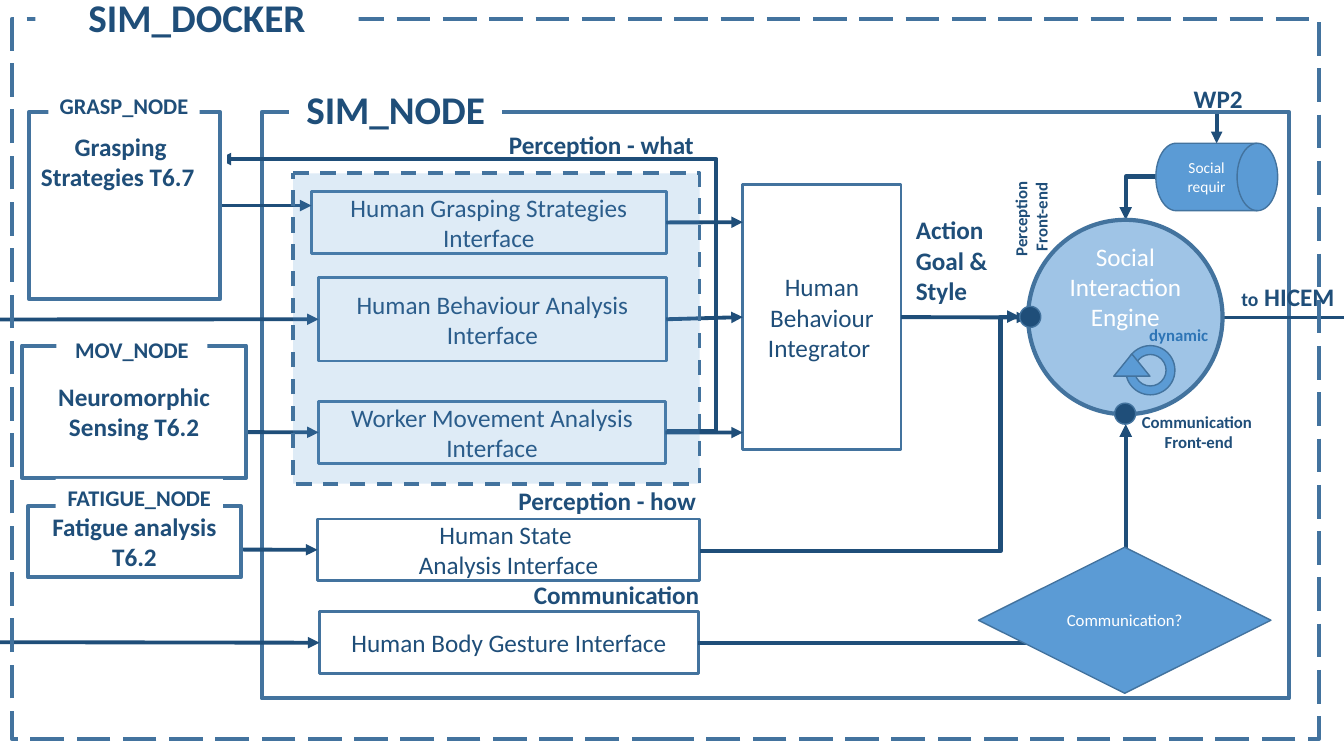
from dataclasses import dataclass

from lxml import etree
from pptx import Presentation
from pptx import util as u
from pptx.dml.color import RGBColor
from pptx.enum import dml, shapes, text
from pptx.oxml.ns import qn

Kind = shapes.MSO_SHAPE
Align = text.PP_ALIGN
Anchor = text.MSO_ANCHOR
Dash = dml.MSO_LINE
TOP, LEFT, BOTTOM, RIGHT = range(4)


@dataclass(frozen=True)
class Type:
    size: float
    color: str
    bold: bool = False


@dataclass(frozen=True)
class Theme:
    font: str = "Calibri"
    ink: str = "1F4E79"
    border: str = "43739E"
    accent: str = "5B9BD5"
    paper: str = "FFFFFF"
    title: Type = Type(28, "1F4E79", True)
    strong: Type = Type(18, "1F4E79", True)
    tag: Type = Type(16, "1F4E79", True)
    small: Type = Type(14, "1F4E79", True)
    note: Type = Type(12, "1F4E79", True)
    hint: Type = Type(12, "2E75B6", True)
    body: Type = Type(18, "1F4E79")
    engine: Type = Type(18, "FFFFFF")
    decision: Type = Type(12, "FFFFFF")
    store: Type = Type(11, "FFFFFF")


THEME = Theme()


@dataclass(frozen=True)
class Block:
    at: tuple[float, float, float, float]
    words: str = ""
    type: Type = THEME.body
    kind: Kind | None = Kind.RECTANGLE
    fill: str | None = None
    opacity: int = 100
    border: float = 0
    dash: Dash | None = None
    align: Align = Align.CENTER
    anchor: Anchor = Anchor.TOP
    wrap: bool = True
    turn: int = 0
    adjust: float | None = None
    inset_top: float = 0.13
    inset_bottom: float = 0.13


@dataclass(frozen=True)
class Joint:
    block: object
    side: int


@dataclass(frozen=True)
class Link:
    start: tuple[float, float] | Joint
    end: tuple[float, float] | Joint
    width: float = 2.75
    bend: str | None = None
    adjust: float | None = None


def add_run(paragraph, words: str, style: Type) -> None:
    run = paragraph.add_run()
    run.text = words
    run.font.name = THEME.font
    run.font.size = u.Pt(style.size)
    run.font.bold = style.bold
    run.font.color.rgb = RGBColor.from_string(style.color)


def dress(shape, block: Block) -> None:
    if block.fill:
        shape.fill.solid()
        shape.fill.fore_color.rgb = RGBColor.from_string(block.fill)
        if block.opacity < 100:
            color = shape.element.spPr.find(f"{qn('a:solidFill')}/{qn('a:srgbClr')}")
            etree.SubElement(color, qn("a:alpha")).set("val", str(block.opacity * 1000))
    else:
        shape.fill.background()
    if block.border:
        shape.line.color.rgb = RGBColor.from_string(THEME.border)
        shape.line.width = u.Pt(block.border)
        if block.dash:
            shape.line.dash_style = block.dash
    else:
        shape.line.fill.background()
    shape.rotation = block.turn
    if not block.words:
        return
    frame = shape.text_frame
    frame.word_wrap = block.wrap
    frame.auto_size = text.MSO_AUTO_SIZE.NONE
    frame.vertical_anchor = block.anchor
    frame.margin_top, frame.margin_bottom = u.Cm(block.inset_top), u.Cm(block.inset_bottom)
    for index, line in enumerate(block.words.split("\n")):
        paragraph = frame.add_paragraph() if index else frame.paragraphs[0]
        paragraph.alignment = block.align
        add_run(paragraph, line, block.type)


def add_block(slide, block: Block):
    box = [u.Cm(length) for length in block.at]
    if block.kind is None:
        shape = slide.shapes.add_textbox(*box)
    else:
        shape = slide.shapes.add_shape(block.kind, *box)
        shape.shadow.inherit = False
    if block.adjust is not None:
        shape.adjustments[0] = block.adjust
    dress(shape, block)
    return shape


def add_link(slide, link: Link) -> None:
    ends = [(0, 0) if isinstance(end, Joint) else end for end in (link.start, link.end)]
    kind = shapes.MSO_CONNECTOR.ELBOW if link.bend else shapes.MSO_CONNECTOR.STRAIGHT
    line = slide.shapes.add_connector(kind, *(u.Cm(n) for end in ends for n in end))
    if isinstance(link.start, Joint):
        line.begin_connect(link.start.block, link.start.side)
    if isinstance(link.end, Joint):
        line.end_connect(link.end.block, link.end.side)
    line.line.color.rgb = RGBColor.from_string(THEME.ink)
    line.line.width = u.Pt(link.width)
    properties = line.element.spPr
    etree.SubElement(properties.find(qn("a:ln")), qn("a:tailEnd")).set("type", "triangle")
    etree.SubElement(properties, qn("a:effectLst"))
    if link.bend:
        geometry = properties.find(qn("a:prstGeom"))
        geometry.set("prst", link.bend)
        if link.adjust is not None:
            guide = etree.SubElement(geometry.find(qn("a:avLst")), qn("a:gd"))
            guide.set("name", "adj1")
            guide.set("fmla", f"val {round(link.adjust * 100000)}")


def interface(*at: float, words: str) -> Block:
    return Block(at, words, border=2, anchor=Anchor.MIDDLE)


def tag(*at: float, words: str, style: Type = THEME.tag) -> Block:
    return Block(at, words, style, fill=THEME.paper)


def caption(*at: float, words: str, style: Type = THEME.strong, **options) -> Block:
    return Block(at, words, style, kind=None, **options)


def solid(kind: Kind, *at: float, fill: str = THEME.accent, **options) -> Block:
    return Block(at, kind=kind, fill=fill, border=1, anchor=Anchor.MIDDLE, **options)


def main() -> None:
    deck = Presentation()
    deck.slide_width, deck.slide_height = u.Cm(33.87), u.Cm(19.05)
    slide = deck.slides.add_slide(deck.slide_layouts[5])

    add_block(slide, Block((6.6, 2.82, 25.88, 14.78), border=3))
    add_block(slide, tag(7.29, 2.03, 5.36, 1.45, words="SIM_NODE", style=THEME.title))

    behaviour, movement, state, gesture, grasping, integrator = (add_block(slide, block) for block in (
        interface(8.03, 6.99, 8.76, 2.11, words="Human Behaviour Analysis\nInterface"),
        interface(8.03, 10.11, 8.74, 1.57, words="Worker Movement Analysis Interface"),
        interface(8, 13.08, 9.63, 1.55, words="Human State \nAnalysis Interface"),
        interface(8.05, 15.42, 9.55, 1.55, words="Human Body Gesture Interface"),
        interface(7.85, 4.83, 8.94, 1.55, words="Human Grasping Strategies Interface"),
        interface(18.72, 4.65, 3.99, 6.68, words="Human Behaviour\nIntegrator "),
    ))
    for link in (
        Link((-0.15, 8.05), Joint(behaviour, LEFT)),
        Link((0.66, 10.87), Joint(movement, LEFT)),
        Link((3.76, 13.84), Joint(state, LEFT)),
        Link((-1.17, 16.18), Joint(gesture, LEFT)),
        Link((5.54, 5.18), (7.85, 5.18)),
        Link(Joint(grasping, RIGHT), (18.72, 5.6)),
        Link(Joint(behaviour, RIGHT), Joint(integrator, LEFT)),
        Link(Joint(movement, RIGHT), (18.72, 10.9)),
        Link(Joint(integrator, RIGHT), (25.91, 8)),
        Link((30.76, 8), (34.19, 8)),
        Link((30.66, 2.87), (30.66, 3.61)),
        Link((17.6, 16.2), (28.37, 10.69), 3, "bentConnector2"),
        Link((17.65, 13.89), (25.7, 7.98), 3, "bentConnector3", 0.94),
        Link((29.13, 4.45), (28.37, 5.54), 3, "bentConnector2"),
        Link((16.81, 10.87), (5.51, 4.01), 3, "bentConnector3", -0.11),
    ):
        add_link(slide, link)

    for block in (
        Block((0.56, 8.71, 5.64, 3.33), "Neuromorphic Sensing T6.2", THEME.strong,
              fill=THEME.paper, border=3, inset_top=0.9),
        Block((0.71, 12.75, 5.36, 1.8), "Fatigue analysis T6.2", THEME.strong, fill=THEME.paper, border=3),
        tag(0.36, 3.18, 5.36, 1.8, words="Grasping Strategies T6.7 ", style=THEME.strong),
        Block((7.39, 4.37, 10.24, 7.82), kind=Kind.FLOWCHART_PROCESS, fill=THEME.accent,
              opacity=20, border=2.75, dash=Dash.DASH),
        Block((25.91, 5.54, 4.9, 4.9), "Social Interaction Engine", THEME.engine, Kind.OVAL,
              fill=THEME.accent, opacity=58, border=3, anchor=Anchor.MIDDLE, inset_bottom=1.68),
        caption(22.83, 5.28, 2.74, 2.57, words="Action Goal & Style", align=Align.LEFT),
        caption(11.61, 3.12, 7.09, 1.02, words="Perception - what"),
        caption(11.84, 12.09, 6.93, 1.02, words="Perception - how"),
        caption(12.9, 14.48, 5.28, 1.02, words="Communication"),
        caption(29.69, 1.98, 1.91, 1.02, words=" WP2", align=Align.LEFT, wrap=False),
        solid(Kind.DIAMOND, 24.66, 13.79, 7.37, 3.68, words="Communication?", type=THEME.decision),
        solid(Kind.OVAL, 25.7, 7.72, 0.53, 0.53, fill=THEME.ink),
        solid(Kind.OVAL, 28.09, 10.16, 0.53, 0.53, fill=THEME.ink),
        caption(26.62, 10.24, 7.09, 1.27, words="Communication\n Front-end", style=THEME.note),
        caption(22.43, 4.88, 7.09, 1.27, words="Perception\n Front-end", style=THEME.note, turn=270),
        solid(Kind.DONUT, 28.37, 8.71, 1.24, 1.24, adjust=0.18),
        solid(Kind.ISOSCELES_TRIANGLE, 28.07, 8.92, 0.91, 0.56),
        caption(26.16, 8.05, 7.09, 0.76, words="dynamic", style=THEME.hint),
        solid(Kind.FLOWCHART_DIRECT_ACCESS_STORAGE, 29.13, 3.61, 3.07, 1.7,
              words="Social requir", type=THEME.store),
        Block((0.3, 0.48, 32.94, 18.14), border=3, dash=Dash.LONG_DASH),
        Block((0.74, 2.82, 4.8, 4.72), border=3),
        tag(1.22, 2.18, 3.81, 0.94, words="GRASP_NODE"),
        tag(1.4, 12.07, 4.22, 0.94, words="FATIGUE_NODE"),
        tag(1.42, 8.33, 3.81, 0.94, words="MOV_NODE"),
    ):
        add_block(slide, block)

    destination = add_block(slide, caption(30.89, 6.96, 3.02, 1.02, words=" ", align=Align.LEFT, wrap=False))
    for words, style in (("to", THEME.small), (" HICEM", THEME.strong)):
        add_run(destination.text_frame.paragraphs[0], words, style)

    title = slide.shapes.title
    heading = tag(0.89, -0.3, 8.15, 1.45, words="SIM_DOCKER", style=THEME.title)
    title.left, title.top, title.width, title.height = (u.Cm(length) for length in heading.at)
    dress(title, heading)
    title.element.getparent().append(title.element)

    deck.save("out.pptx")


if __name__ == "__main__":
    main()
